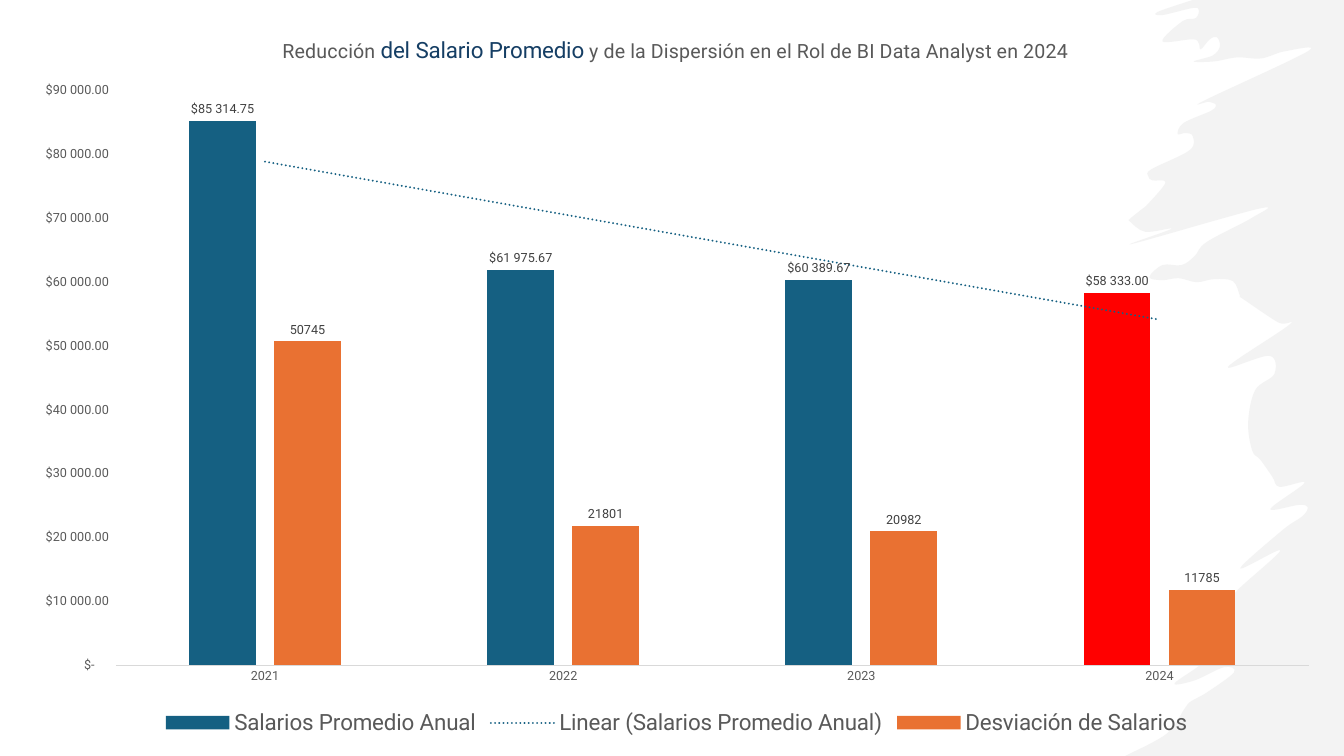
import lxml.etree
import pptx
import pptx.chart.data
import pptx.dml.color
import pptx.enum.chart
import pptx.oxml
import pptx.oxml.ns
import pptx.util

RGBColor = pptx.dml.color.RGBColor
BLACK = RGBColor(0x00, 0x00, 0x00)
BLUE = RGBColor(0x15, 0x60, 0x82)
ORANGE = RGBColor(0xE9, 0x71, 0x32)
RED = RGBColor(0xFF, 0x00, 0x00)
NAVY = RGBColor(0x15, 0x3E, 0x64)
GRAY = RGBColor(0x59, 0x59, 0x59)
DARK_GRAY = RGBColor(0x40, 0x40, 0x40)
AXIS_GRAY = RGBColor(0xD9, 0xD9, 0xD9)
BRUSH_GRAY = RGBColor(0xE8, 0xE8, 0xE8)

# The slide is a grid of 1333 columns by 750 rows of square cells.
COLUMNS, ROWS = 1333, 750
CELL = pptx.util.Inches(0.01)
CHART_WIDTH, CHART_HEIGHT = 1308, 721

MONEY = r'_-[$$-45C]* #\ ##0.00_-;\-[$$-45C]* #\ ##0.00_-;_-[$$-45C]* "-"??_-'
YEARS = ["2021", "2022", "2023", "2024"]
# name, values, colour, label format
SERIES = [
    ("Salarios Promedio Anual", [85314.75, 61975.67, 60389.67, 58333], BLUE, MONEY),
    ("Desviación de Salarios", [50745, 21801, 20982, 11785], ORANGE, "0"),
]
TITLE = [
    ("Reducción ", 14, GRAY),
    ("del Salario Promedio", 16, NAVY),
    (" y de la Dispersión en el Rol de BI Data Analyst en 2024", 14, GRAY),
]
# Left edge of the brush stroke, from top to bottom
BRUSH_EDGE = [
    (1183, 0), (1148, 12), (1153, 15), (1183, 8), (1189, 10), (1186, 18), (1173, 21),
    (1153, 41), (1183, 39), (1189, 43), (1191, 49), (1200, 39), (1207, 37), (1210, 46),
    (1203, 55), (1184, 61), (1204, 61), (1227, 57), (1251, 58), (1274, 51), (1297, 51),
    (1194, 100), (1199, 101), (1206, 104), (1201, 110), (1174, 122), (1168, 133),
    (1176, 132), (1183, 135), (1180, 149), (1142, 168), (1139, 175), (1143, 179),
    (1156, 181), (1139, 202), (1132, 208), (1121, 217), (1121, 220), (1136, 230),
    (1162, 227), (1123, 242), (1249, 207), (1242, 216), (1197, 240), (1185, 254),
    (1172, 263), (1153, 263), (1140, 275), (1153, 278), (1169, 276), (1187, 280),
    (1204, 277), (1223, 279), (1230, 294), (1232, 296), (1268, 320), (1279, 322),
    (1218, 364), (1259, 353), (1264, 371), (1245, 387), (1238, 419), (1242, 447),
    (1250, 456), (1262, 473), (1269, 483), (1294, 479), (1260, 505), (1288, 501),
    (1297, 503), (1292, 512), (1272, 526), (1230, 564), (1270, 546), (1228, 585),
    (1219, 599), (1200, 631), (1201, 634), (1222, 629), (1194, 657), (1165, 678),
    (1185, 675), (1214, 662), (1224, 667), (1197, 687), (1181, 696), (1175, 703),
    (1157, 728), (1116, 750),
]


def chart_xml(text):
    return pptx.oxml.parse_xml(text.replace(
        ">", " " + pptx.oxml.ns.nsdecls("c", "a") + ">", 1))


def place(parent, index, target="", **cells):
    """Place a part of the chart at x, y (and w, h), given in grid cells."""
    for old in parent.findall(pptx.oxml.ns.qn("c:layout")):
        parent.remove(old)
    inner = f'<c:layoutTarget val="{target}"/>' if target else ""
    modes = "".join(f'<c:{axis}Mode val="edge"/>' for axis in "xy")
    sizes = "".join(
        f'<c:{key} val="{value / (CHART_WIDTH if key in "xw" else CHART_HEIGHT)}"/>'
        for key, value in cells.items())
    parent.insert(index, chart_xml(
        f"<c:layout><c:manualLayout>{inner}{modes}{sizes}</c:manualLayout></c:layout>"))


def round_edge(shape, count):
    """Turn the lines between the first count points after the corner into curves."""
    qn = pptx.oxml.ns.qn
    lines = list(shape._element.iter(qn("a:lnTo")))[:count]
    points = [(int(line[0].get("x")), int(line[0].get("y"))) for line in lines]
    padded = [points[0], *points, points[-1]]
    for line, a, b, c, d in zip(lines[1:], padded, padded[1:], padded[2:], padded[3:]):
        first = [q + (r - p) / 6 for p, q, r in zip(a, b, c)]
        second = [q - (r - p) / 6 for p, q, r in zip(b, c, d)]
        line.tag = qn("a:cubicBezTo")
        for index, (x, y) in enumerate((first, second)):
            control = line.makeelement(qn("a:pt"), {"x": str(round(x)), "y": str(round(y))})
            line.insert(index, control)


class SlideBuilder:
    font_name = "Roboto"

    def __init__(self, presentation):
        self.slide = presentation.slides.add_slide(presentation.slide_layouts[6])

    def style_font(self, font, size, color):
        font.name = self.font_name
        font.size = pptx.util.Pt(size)
        font.bold = False
        font.color.rgb = color

    def add_brush(self, edge, color, opacity):
        """Fill the area between the edge and the right side of the slide."""
        builder = self.slide.shapes.build_freeform(COLUMNS, 0, scale=CELL)
        builder.add_line_segments(edge + [(COLUMNS, ROWS)], close=True)
        shape = builder.convert_to_shape()
        # A finer local grid keeps the curves smooth.
        outline = shape._element.find(".//" + pptx.oxml.ns.qn("a:pathLst"))[0]
        for element in [outline, *outline.iter(pptx.oxml.ns.qn("a:pt"))]:
            for key in ("w", "h", "x", "y"):
                if element.get(key):
                    element.set(key, str(int(element.get(key)) * 100))
        round_edge(shape, len(edge))
        shape.shadow.inherit = False
        shape.line.fill.background()
        shape.fill.solid()
        shape.fill.fore_color.rgb = color
        fill_color = shape._element.spPr.find(
            pptx.oxml.ns.qn("a:solidFill") + "/" + pptx.oxml.ns.qn("a:srgbClr"))
        alpha = lxml.etree.SubElement(fill_color, pptx.oxml.ns.qn("a:alpha"))
        alpha.set("val", str(opacity * 1000))

    def add_columns(self, column, row, categories, series_rows):
        data = pptx.chart.data.CategoryChartData()
        data.categories = categories
        for name, values, _, number_format in series_rows:
            data.add_series(name, values, number_format)
        chart = self.slide.shapes.add_chart(
            pptx.enum.chart.XL_CHART_TYPE.COLUMN_CLUSTERED, column * CELL, row * CELL,
            CHART_WIDTH * CELL, CHART_HEIGHT * CELL, data).chart
        self.style_font(chart.font, 10, BLACK)
        plot = chart.plots[0]
        plot.gap_width, plot.overlap = 219, -27
        plot.vary_by_categories = False
        for series, (_, _, color, number_format) in zip(plot.series, series_rows):
            series.format.fill.solid()
            series.format.fill.fore_color.rgb = color
            series.invert_if_negative = False
            labels = series.data_labels
            labels.show_value = True
            labels.position = pptx.enum.chart.XL_LABEL_POSITION.OUTSIDE_END
            labels.number_format = number_format
            labels.number_format_is_linked = False
            self.style_font(labels.font, 9, DARK_GRAY)
        place(chart._chartSpace.chart.plotArea, 0, "inner", x=98, y=77, w=1183, h=570)
        return chart

    def style_axes(self, chart, maximum, step, number_format):
        for axis in (chart.category_axis, chart.value_axis):
            axis.major_tick_mark = axis.minor_tick_mark = pptx.enum.chart.XL_TICK_MARK.NONE
            axis.has_major_gridlines = False
            self.style_font(axis.tick_labels.font, 9, GRAY)
        chart.category_axis.format.line.color.rgb = AXIS_GRAY
        chart.category_axis.format.line.width = pptx.util.Pt(0.75)
        values = chart.value_axis
        values.format.line.fill.background()
        values.minimum_scale, values.maximum_scale, values.major_unit = 0, maximum, step
        values.tick_labels.number_format = number_format
        values.tick_labels.number_format_is_linked = False

    def add_title(self, chart, parts):
        chart.has_title = True
        paragraph = chart.chart_title.text_frame.paragraphs[0]
        self.style_font(paragraph.font, 14, GRAY)
        for text, size, color in parts:
            run = paragraph.add_run()
            run.text = text
            self.style_font(run.font, size, color)
        place(chart.chart_title._element, 1, x=260, y=20.5)

    def add_legend(self, chart):
        chart.has_legend = True
        chart.legend.position = pptx.enum.chart.XL_LEGEND_POSITION.BOTTOM
        chart.legend.include_in_layout = False
        self.style_font(chart.legend.font, 16, GRAY)

    def add_trend(self, series, color):
        trend = chart_xml(
            '<c:trendline><c:spPr><a:ln w="19050" cap="rnd"><a:solidFill>'
            f'<a:srgbClr val="{color}"/></a:solidFill><a:prstDash val="sysDot"/></a:ln></c:spPr>'
            '<c:trendlineType val="linear"/><c:dispRSqr val="0"/><c:dispEq val="0"/>'
            "</c:trendline>")
        series._element.find(pptx.oxml.ns.qn("c:cat")).addprevious(trend)


def main():
    presentation = pptx.Presentation()
    presentation.slide_width, presentation.slide_height = COLUMNS * CELL, ROWS * CELL
    builder = SlideBuilder(presentation)
    builder.add_brush(BRUSH_EDGE, BRUSH_GRAY, 50)
    chart = builder.add_columns(17, 13, YEARS, SERIES)
    builder.style_axes(chart, 90000, 10000, MONEY)
    builder.add_title(chart, TITLE)
    builder.add_legend(chart)
    salaries = chart.plots[0].series[0]
    for year, color in ((0, BLUE), (3, RED)):
        fill = salaries.points[year].format.fill
        fill.solid()
        fill.fore_color.rgb = color
    builder.add_trend(salaries, BLUE)
    presentation.save("out.pptx")


if __name__ == "__main__":
    main()
